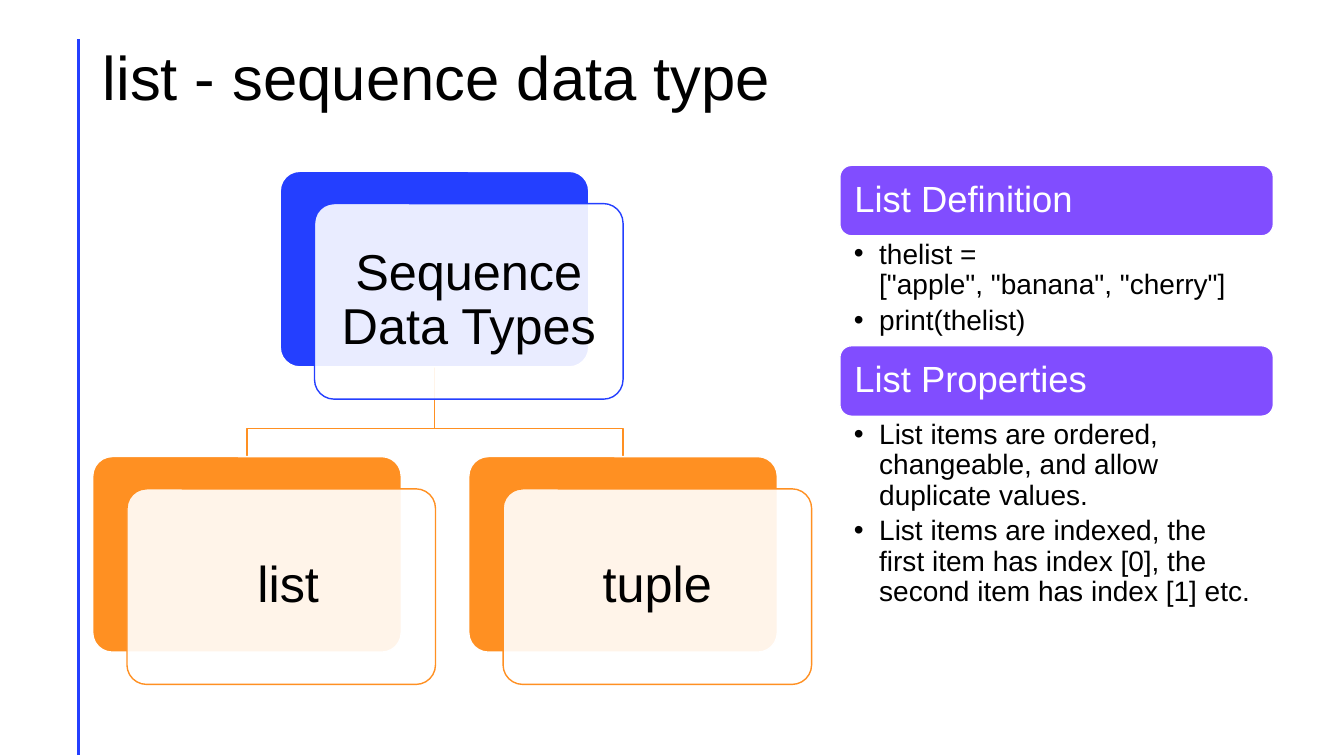
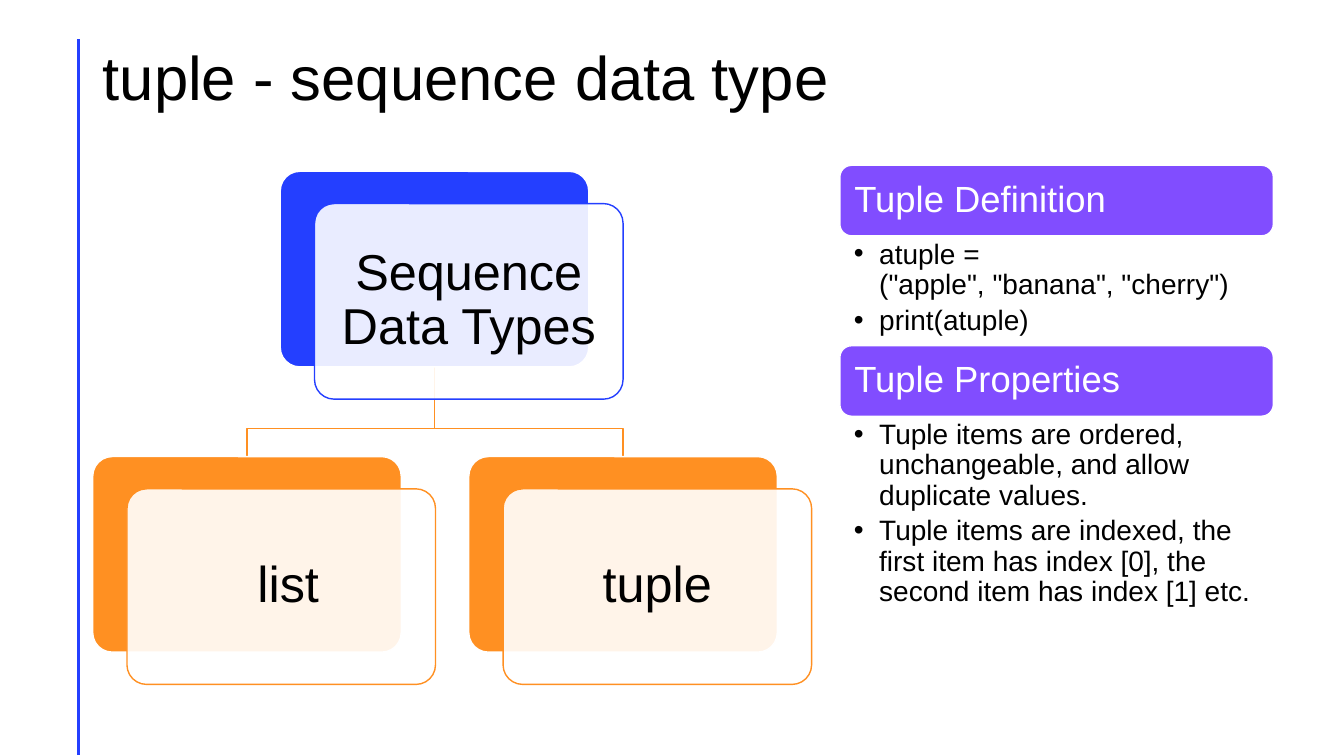
import dataclasses

import lxml.etree
import pptx
import pptx.dml.color
import pptx.enum.shapes
import pptx.enum.text
import pptx.oxml.ns
import pptx.util

PX = 9144  # EMU in one px, 100 px to the inch
RECTANGLE = pptx.enum.shapes.MSO_SHAPE.ROUNDED_RECTANGLE
ALIGN = pptx.enum.text.PP_ALIGN
ANCHOR = pptx.enum.text.MSO_ANCHOR


@dataclasses.dataclass(frozen=True)
class Theme:
    font: str = "Arial"
    ink: str = "000000"
    paper: str = "FFFFFF"
    blue: str = "243FFF"
    orange: str = "FF9022"
    violet: str = "814DFF"
    title_size: int = 44
    node_size: int = 36
    header_size: int = 26
    body_size: int = 20


def rgb(value):
    return pptx.dml.color.RGBColor.from_string(value)


def px(*lengths):
    return [length * PX for length in lengths]


def no_break(text):
    """Keep the words of text on one line."""
    return text.replace(" ", chr(160))


def add_child(parent, tag, **attributes):
    return lxml.etree.SubElement(parent, pptx.oxml.ns.qn(tag), attributes)


def add_bullet(paragraph, indent):
    properties = paragraph._p.get_or_add_pPr()
    properties.set("marL", str(indent * PX))
    properties.set("indent", str(-indent * PX))
    add_child(properties, "a:buFont", typeface="Arial")
    add_child(properties, "a:buChar", char="•")


def write_text(shape, lines, *, size, color, font, align=ALIGN.LEFT,
               anchor=ANCHOR.MIDDLE, insets=(10, 5, 10, 5), space_after=0,
               bullet_indent=0):
    """Fill a shape with paragraphs; insets are left, top, right, bottom."""
    frame = shape.text_frame
    frame.word_wrap = True
    frame.vertical_anchor = anchor
    (frame.margin_left, frame.margin_top,
     frame.margin_right, frame.margin_bottom) = px(*insets)
    for index, line in enumerate(lines):
        paragraph = frame.add_paragraph() if index else frame.paragraphs[0]
        paragraph.alignment = align
        paragraph.line_spacing = 0.9
        paragraph.space_after = pptx.util.Pt(space_after)
        if bullet_indent:
            add_bullet(paragraph, bullet_indent)
        run = paragraph.add_run()
        run.text = line
        run.font.name = font
        run.font.size = pptx.util.Pt(size)
        run.font.color.rgb = rgb(color)


class Deck:
    NODE_WIDTH, NODE_HEIGHT = 306, 194
    CARD_DX, CARD_DY = 34, 32

    def __init__(self, presentation, theme):
        self.presentation = presentation
        self.theme = theme
        self.slide = None

    def new_slide(self, title):
        self.slide = self.presentation.slides.add_slide(
            self.presentation.slide_layouts[6])
        self.rail(78, 39, 749)
        self.text_box(92, 40, 1195, 80, [title], size=self.theme.title_size)

    def rail(self, x, top, bottom):
        line = self.slide.shapes.add_connector(
            pptx.enum.shapes.MSO_CONNECTOR.STRAIGHT, *px(x, top, x, bottom))
        line.line.color.rgb = rgb(self.theme.blue)
        line.line.width = pptx.util.Pt(2)
        add_child(line._element.spPr, "a:effectLst")

    def text_box(self, left, top, width, height, lines, **text_format):
        box = self.slide.shapes.add_textbox(*px(left, top, width, height))
        write_text(box, lines, color=self.theme.ink, font=self.theme.font,
                   **text_format)

    def rounded_box(self, left, top, width, height, *, fill, line,
                    corner=None, opacity=100):
        box = self.slide.shapes.add_shape(
            RECTANGLE, *px(left, top, width, height))
        box.shadow.inherit = False
        if corner is not None:
            box.adjustments[0] = corner
        box.fill.solid()
        box.fill.fore_color.rgb = rgb(fill)
        if opacity < 100:
            color = box._element.spPr.find(".//" + pptx.oxml.ns.qn("a:srgbClr"))
            add_child(color, "a:alpha", val=str(opacity * 1000))
        box.line.color.rgb = rgb(line)
        box.line.width = pptx.util.Pt(1)
        return box

    def elbow(self, start, bend_y, end):
        """Draw a branch that goes down, across at bend_y, and down."""
        builder = self.slide.shapes.build_freeform(*px(*start))
        corners = [(start[0], bend_y), (end[0], bend_y), end]
        builder.add_line_segments([px(*corner) for corner in corners],
                                  close=False)
        branch = builder.convert_to_shape()
        branch.shadow.inherit = False
        branch.fill.background()
        branch.line.color.rgb = rgb(self.theme.orange)
        branch.line.width = pptx.util.Pt(1)

    def node(self, left, top, label, color):
        """Draw a coloured plate with a translucent labelled card over it."""
        size = (self.NODE_WIDTH, self.NODE_HEIGHT)
        paper = self.theme.paper
        self.rounded_box(left, top, *size, fill=color, line=paper, corner=0.1)
        card = self.rounded_box(left + self.CARD_DX, top + self.CARD_DY, *size,
                                fill=paper, line=color, corner=0.1, opacity=90)
        write_text(card, [label], size=self.theme.node_size,
                   color=self.theme.ink, font=self.theme.font,
                   align=ALIGN.CENTER, insets=(15, 15, 15, 15))

    def type_tree(self, root, children):
        left, top, child_top, pitch = 92, 170, 453, 373
        root_left = left + pitch * (len(children) - 1) // 2
        child_lefts = [left + pitch * index for index in range(len(children))]
        middle = self.NODE_WIDTH // 2
        start = (root_left + middle, top + self.NODE_HEIGHT)
        for child_left in child_lefts:
            self.elbow(start, 425, (child_left + middle, child_top))
        self.node(root_left, top, root, self.theme.blue)
        for child_left, label in zip(child_lefts, children):
            self.node(child_left, child_top, label, self.theme.orange)

    def panels(self, sections):
        """Stack (heading, bullet lines, body height) sections."""
        left, top, width, header_height = 833, 164, 430, 70
        for heading, lines, body_height in sections:
            header = self.rounded_box(left, top, width, header_height,
                                      fill=self.theme.violet,
                                      line=self.theme.paper)
            write_text(header, [heading], size=self.theme.header_size,
                       color=self.theme.paper, font=self.theme.font,
                       insets=(11, 11, 11, 11))
            top += header_height
            self.text_box(left, top, width, body_height, lines,
                          size=self.theme.body_size, anchor=ANCHOR.TOP,
                          insets=(14, 4, 20, 4), space_after=4,
                          bullet_indent=25)
            top += body_height


def main():
    presentation = pptx.Presentation()
    presentation.slide_width, presentation.slide_height = px(1333, 750)
    deck = Deck(presentation, Theme())
    fruits = '"apple", "banana", "cherry"'
    topics = [
        ("list", "thelist", f"[{fruits}]", "changeable"),
        ("tuple", "atuple", f"({fruits})", "unchangeable"),
    ]
    for kind, variable, value, mutability in topics:
        name = kind.capitalize()
        deck.new_slide(f"{kind} - sequence data type")
        deck.type_tree("Sequence Data Types", [" list", "tuple"])
        deck.panels([
            (f"{name} Definition",
             [f"{variable} = {no_break(value)}", f"print({variable})"], 109),
            (f"{name} Properties",
             [f"{name} items are ordered, {mutability}, "
              "and allow duplicate values.",
              f"{name} items are indexed, the first item has "
              f"{no_break('index [0]')}, the second item has "
              f"{no_break('index [1] etc.')}"], 235),
        ])
    presentation.save("out.pptx")


if __name__ == "__main__":
    main()
